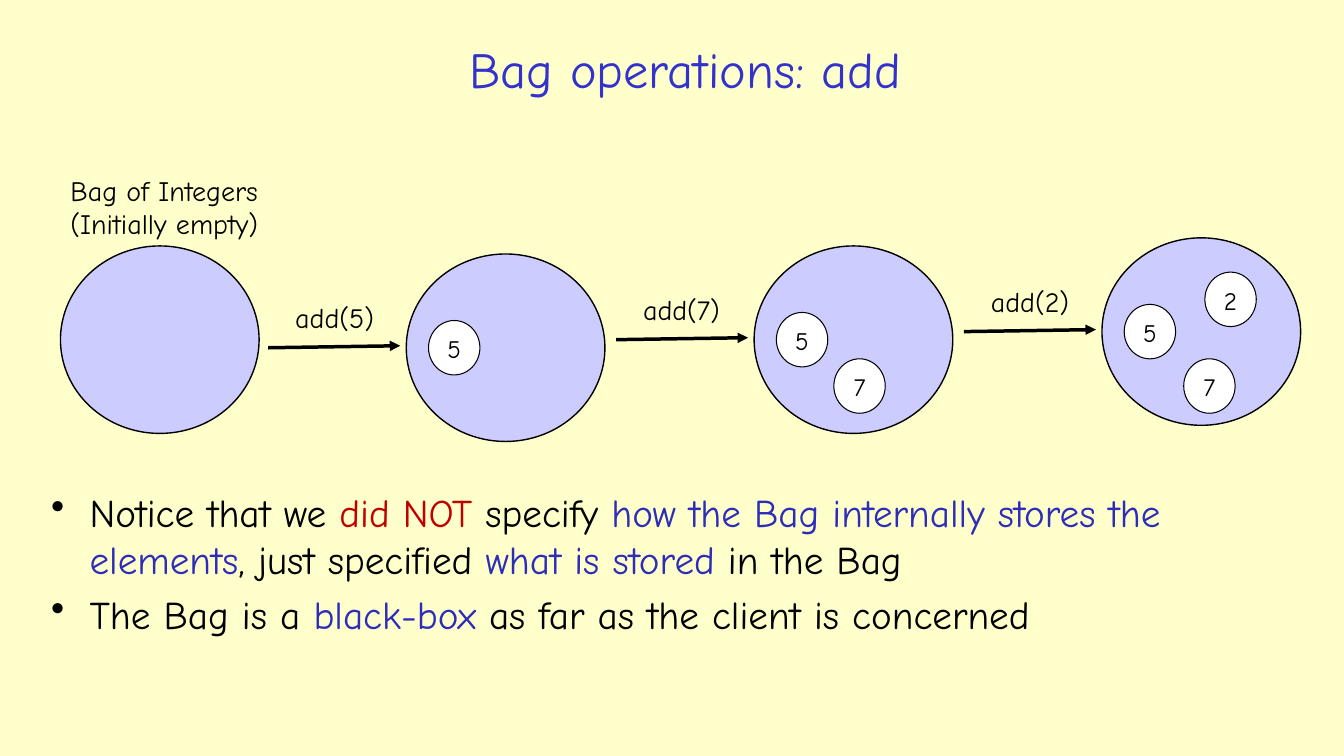
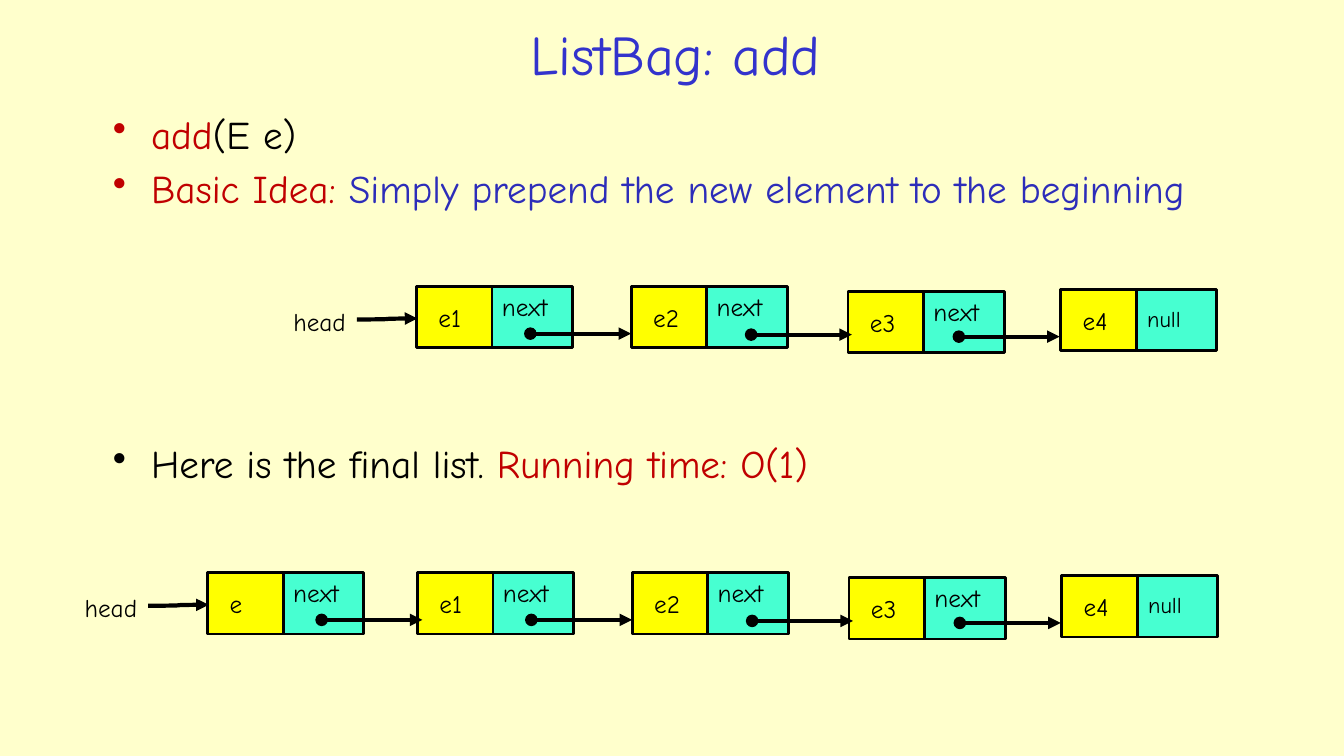
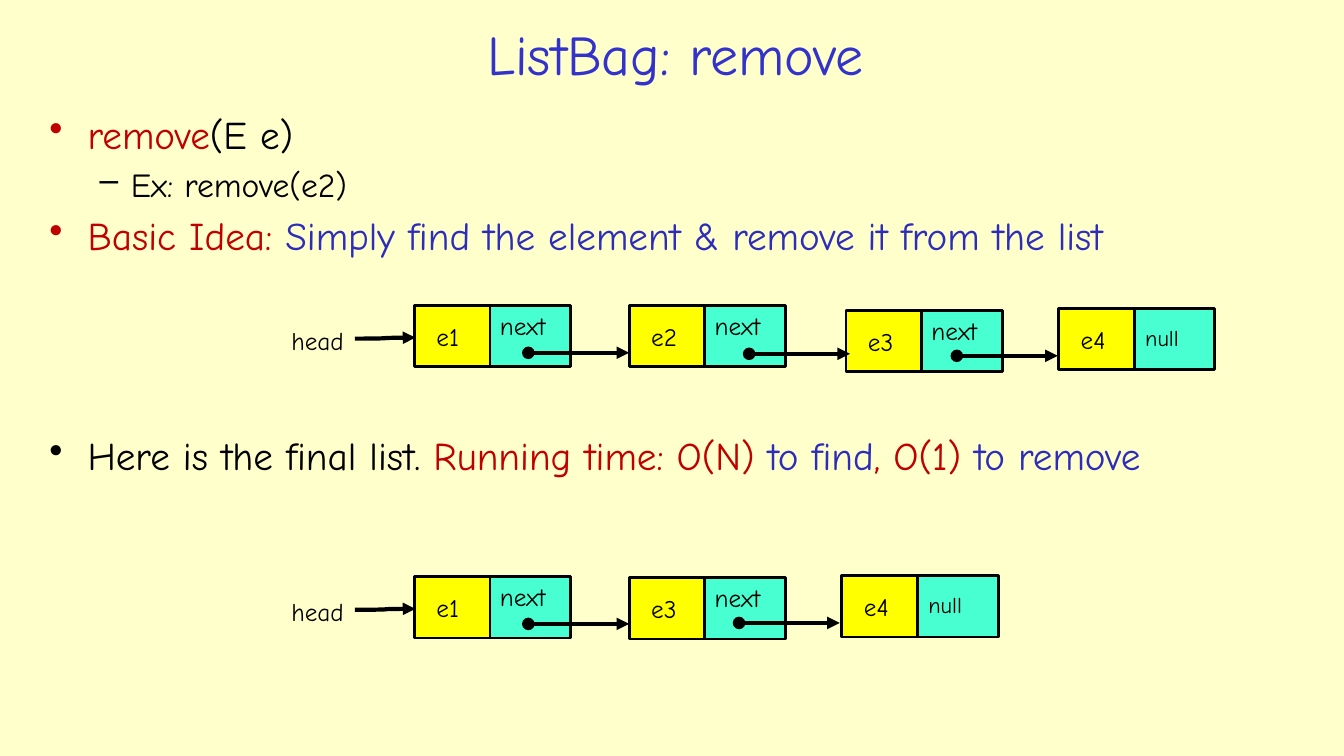
from dataclasses import dataclass, replace
from typing import NamedTuple

import lxml.etree
import pptx
import pptx.dml.color
import pptx.enum.shapes
import pptx.enum.text
import pptx.oxml.ns
import pptx.shapes.autoshape
import pptx.slide
import pptx.text.text
import pptx.util

Inches = pptx.util.Inches
Pt = pptx.util.Pt
Shapes = pptx.enum.shapes.MSO_SHAPE
Connectors = pptx.enum.shapes.MSO_CONNECTOR
Align = pptx.enum.text.PP_ALIGN
Anchor = pptx.enum.text.MSO_ANCHOR
qn = pptx.oxml.ns.qn

# Shared style
FONT = "Comic Neue"
CREAM, TITLE_BLUE, BLUE, RED = "FFFFCC", "3333CC", "2D2DB9", "C00000"
BLACK, WHITE, LILAC, YELLOW, MINT = "000000", "FFFFFF", "CCCCFF", "FFFF00", "47FFD1"
BODY_SIZES = (28, 24)
BODY_INDENTS = ((0.38, -0.38, "•"), (0.81, -0.31, "–"))
BODY_LINE = 39.2  # points from one bullet to the next

# List node and bag geometry
DATA_WIDTH, NEXT_WIDTH, NODE_HEIGHT = 0.75, 0.8, 0.61
BAG_WIDTH, BAG_HEIGHT = 1.97, 1.86
TOKEN_WIDTH, TOKEN_HEIGHT = 0.51, 0.54


class Span(NamedTuple):
    text: str
    color: str = BLACK


@dataclass(frozen=True)
class Bullet:
    spans: list[Span]
    level: int = 0
    lines_above: int = 0


class Token(NamedTuple):
    text: str
    dx: float
    dy: float


@dataclass(frozen=True)
class Bag:
    left: float
    top: float
    call: str = ""
    tokens: tuple[Token, ...] = ()


@dataclass(frozen=True)
class Node:
    label: str
    left: float
    top: float
    dot_x: float = 0  # start of the next arrow inside the node; 0 means null
    dot_y: float = 0


# Helpers
def rgb(color: str) -> pptx.dml.color.RGBColor:
    return pptx.dml.color.RGBColor.from_string(color)


def add_span(para: pptx.text.text._Paragraph, text: str, *, size: float = 18,
             color: str = BLACK) -> None:
    span = para.add_run()
    span.text = text
    span.font.name = FONT
    span.font.size = Pt(size)
    span.font.color.rgb = rgb(color)


def write(frame: pptx.text.text.TextFrame, text: str, *, size: float = 18,
          color: str = BLACK, align: Align = Align.LEFT,
          anchor: Anchor = Anchor.TOP, wrap: bool = True) -> None:
    frame.word_wrap = wrap
    frame.vertical_anchor = anchor
    for index, line in enumerate(text.split("\n")):
        para = frame.add_paragraph() if index else frame.paragraphs[0]
        para.alignment = align
        add_span(para, line, size=size, color=color)


def add_text(page: pptx.slide.Slide, text: str, left: float, top: float,
             width: float, height: float, **style) -> None:
    box = page.shapes.add_textbox(Inches(left), Inches(top), Inches(width), Inches(height))
    write(box.text_frame, text, **style)


def add_shape(page: pptx.slide.Slide, kind: Shapes, left: float, top: float,
              width: float, height: float, *, fill: str,
              line: float) -> pptx.shapes.autoshape.Shape:
    shape = page.shapes.add_shape(
        kind, Inches(left), Inches(top), Inches(width), Inches(height))
    shape.shadow.inherit = False
    shape.fill.solid()
    shape.fill.fore_color.rgb = rgb(fill)
    shape.line.color.rgb = rgb(BLACK)
    shape.line.width = Pt(line)
    return shape


def add_arrow(page: pptx.slide.Slide, x1: float, y1: float, x2: float, y2: float, *,
              kind: Connectors = Connectors.STRAIGHT, width: float = 3,
              dot: bool = False) -> None:
    arrow = page.shapes.add_connector(kind, Inches(x1), Inches(y1), Inches(x2), Inches(y2))
    arrow.line.color.rgb = rgb(BLACK)
    arrow.line.width = Pt(width)
    properties = arrow.element.spPr
    outline = properties.find(qn("a:ln"))
    if dot:
        lxml.etree.SubElement(outline, qn("a:headEnd"), type="oval")
    lxml.etree.SubElement(outline, qn("a:tailEnd"), type="triangle")
    lxml.etree.SubElement(properties, qn("a:effectLst"))


def add_bullets(page: pptx.slide.Slide, bullets: list[Bullet], left: float, top: float,
                width: float, height: float) -> None:
    box = page.shapes.add_textbox(Inches(left), Inches(top), Inches(width), Inches(height))
    frame = box.text_frame
    frame.word_wrap = True
    for index, bullet in enumerate(bullets):
        para = frame.add_paragraph() if index else frame.paragraphs[0]
        margin, indent, mark = BODY_INDENTS[bullet.level]
        size = BODY_SIZES[bullet.level]
        properties = para._p.get_or_add_pPr()
        properties.set("marL", str(Inches(margin)))
        properties.set("indent", str(Inches(indent)))
        lxml.etree.SubElement(properties, qn("a:buChar"), char=mark)
        if index:
            para.space_before = Pt(round(0.2 * size + bullet.lines_above * BODY_LINE, 1))
        for span in bullet.spans:
            add_span(para, span.text, size=size, color=span.color)


def add_page(deck, title: str, *, left: float = 2.02, top: float = 0.15,
             width: float = 9.36, height: float = 0.76,
             size: float = 40) -> pptx.slide.Slide:
    page = deck.slides.add_slide(deck.slide_layouts[6])
    add_text(page, title, left, top, width, height, size=size, color=TITLE_BLUE,
             align=Align.CENTER, anchor=Anchor.MIDDLE)
    return page


# Diagram parts
def draw_bag(page: pptx.slide.Slide, bag: Bag) -> None:
    add_shape(page, Shapes.OVAL, bag.left, bag.top, BAG_WIDTH, BAG_HEIGHT,
              fill=LILAC, line=1)
    for token in bag.tokens:
        circle = add_shape(page, Shapes.OVAL, bag.left + token.dx, bag.top + token.dy,
                           TOKEN_WIDTH, TOKEN_HEIGHT, fill=WHITE, line=0.75)
        write(circle.text_frame, token.text, align=Align.CENTER)
    if bag.call:
        add_arrow(page, bag.left - 1.37, bag.top + 0.93, bag.left - 0.06, bag.top + 0.91,
                  width=2.5)
        add_text(page, bag.call, bag.left - 1.2, bag.top + 0.41, 1.07, 0.44, size=20)


def draw_node(page: pptx.slide.Slide, node: Node) -> None:
    middle = node.left + DATA_WIDTH
    link = add_shape(page, Shapes.RECTANGLE, middle, node.top, NEXT_WIDTH, NODE_HEIGHT,
                     fill=MINT, line=2)
    add_shape(page, Shapes.RECTANGLE, node.left, node.top, DATA_WIDTH, NODE_HEIGHT,
              fill=YELLOW, line=2)
    label_width = 0.49 if len(node.label) > 1 else 0.34
    add_text(page, node.label, node.left + 0.12, node.top + 0.11, label_width, 0.4,
             wrap=False)
    if node.dot_x:
        write(link.text_frame, "next")
    else:
        add_text(page, "null", middle + 0.01, node.top + 0.11, 0.56, 0.37, size=16,
                 wrap=False)


def draw_list(page: pptx.slide.Slide, nodes: list[Node]) -> None:
    first = nodes[0]
    add_arrow(page, first.left - 0.59, first.top + 0.33, first.left + 0.01,
              first.top + 0.32, kind=Connectors.CURVE)
    add_text(page, "head", first.left - 1.34, first.top + 0.15, 0.76, 0.4,
             align=Align.CENTER, wrap=False)
    for node in nodes:
        draw_node(page, node)
    for node in nodes:
        if node.dot_x:
            x, y = node.left + node.dot_x, node.top + node.dot_y
            add_arrow(page, x, y, x + 1, y, dot=True)


def shifted(nodes: list[Node], dx: float, dy: float) -> list[Node]:
    return [replace(node, left=node.left + dx, top=node.top + dy) for node in nodes]


# Contents
FIVE = Token("5", 0.22, 0.66)
BAGS = [
    Bag(0.6, 2.44),
    Bag(4.03, 2.52, "add(5)", (FIVE,)),
    Bag(7.48, 2.44, "add(7)", (FIVE, Token("7", 0.79, 1.12))),
    Bag(10.93, 2.36, "add(2)", (FIVE, Token("7", 0.81, 1.2), Token("2", 1.02, 0.34))),
]
FOUR_NODES = [
    Node("e1", 4.13, 2.84, 1.13, 0.47),
    Node("e2", 6.26, 2.84, 1.19, 0.48),
    Node("e3", 8.41, 2.89, 1.1, 0.45),
    Node("e4", 10.52, 2.87),
]
AFTER_ADD = [Node("e", 2.06, 5.68, 1.13, 0.47), *shifted(FOUR_NODES, 0.01, 2.84)]
AFTER_REMOVE = [
    Node("e1", 4.11, 5.72, 1.13, 0.47),
    Node("e3", 6.24, 5.73, 1.09, 0.45),
    Node("e4", 8.35, 5.71),
]
FINAL_LIST = Span("Here is the final list. ")
BASIC_IDEA = Span("Basic Idea: ", RED)


def build_bag_page(deck) -> None:
    page = add_page(deck, "Bag operations: add", left=1.12, top=0.26, width=11.35,
                    height=0.84, size=36)
    add_text(page, "Bag of Integers\n(Initially empty)", 0.6, 1.67, 2.51, 0.77, size=20)
    for bag in BAGS:
        draw_bag(page, bag)
    add_bullets(page, [
        Bullet([Span("Notice that we "), Span("did NOT ", RED), Span("specify "),
                Span("how the Bag internally stores the elements", BLUE),
                Span(", just specified "), Span("what is stored ", BLUE),
                Span("in the Bag")]),
        Bullet([Span("The Bag is a "), Span("black-box", BLUE),
                Span(" as far as the client is concerned")]),
    ], 0.41, 4.79, 12.28, 2.02)


def build_add_page(deck) -> None:
    page = add_page(deck, "ListBag: add")
    add_bullets(page, [
        Bullet([Span("add", RED), Span("(E e)")]),
        Bullet([BASIC_IDEA,
                Span("Simply prepend the new element to the beginning", BLUE)]),
        Bullet([FINAL_LIST, Span("Running time: O(1)", RED)], lines_above=4),
    ], 1.02, 1.04, 11.75, 6.25)
    draw_list(page, FOUR_NODES)
    draw_list(page, AFTER_ADD)


def build_remove_page(deck) -> None:
    page = add_page(deck, "ListBag: remove")
    add_bullets(page, [
        Bullet([Span("remove", RED), Span("(E e)")]),
        Bullet([Span("Ex: remove(e2)")], level=1),
        Bullet([BASIC_IDEA,
                Span("Simply find the element & remove it from the list", BLUE)]),
        Bullet([FINAL_LIST, Span("Running time: O(N) ", RED), Span("to find", BLUE),
                Span(", O(1) ", RED), Span("to remove", BLUE)], lines_above=3),
    ], 0.39, 1.04, 12.59, 3.91)
    draw_list(page, shifted(FOUR_NODES, -0.02, 0.19))
    draw_list(page, AFTER_REMOVE)


def main() -> None:
    deck = pptx.Presentation()
    deck.slide_width, deck.slide_height = Inches(13.33), Inches(7.5)
    background = deck.slide_master.background.fill
    background.solid()
    background.fore_color.rgb = rgb(CREAM)
    build_bag_page(deck)
    build_add_page(deck)
    build_remove_page(deck)
    deck.save("out.pptx")


if __name__ == "__main__":
    main()
